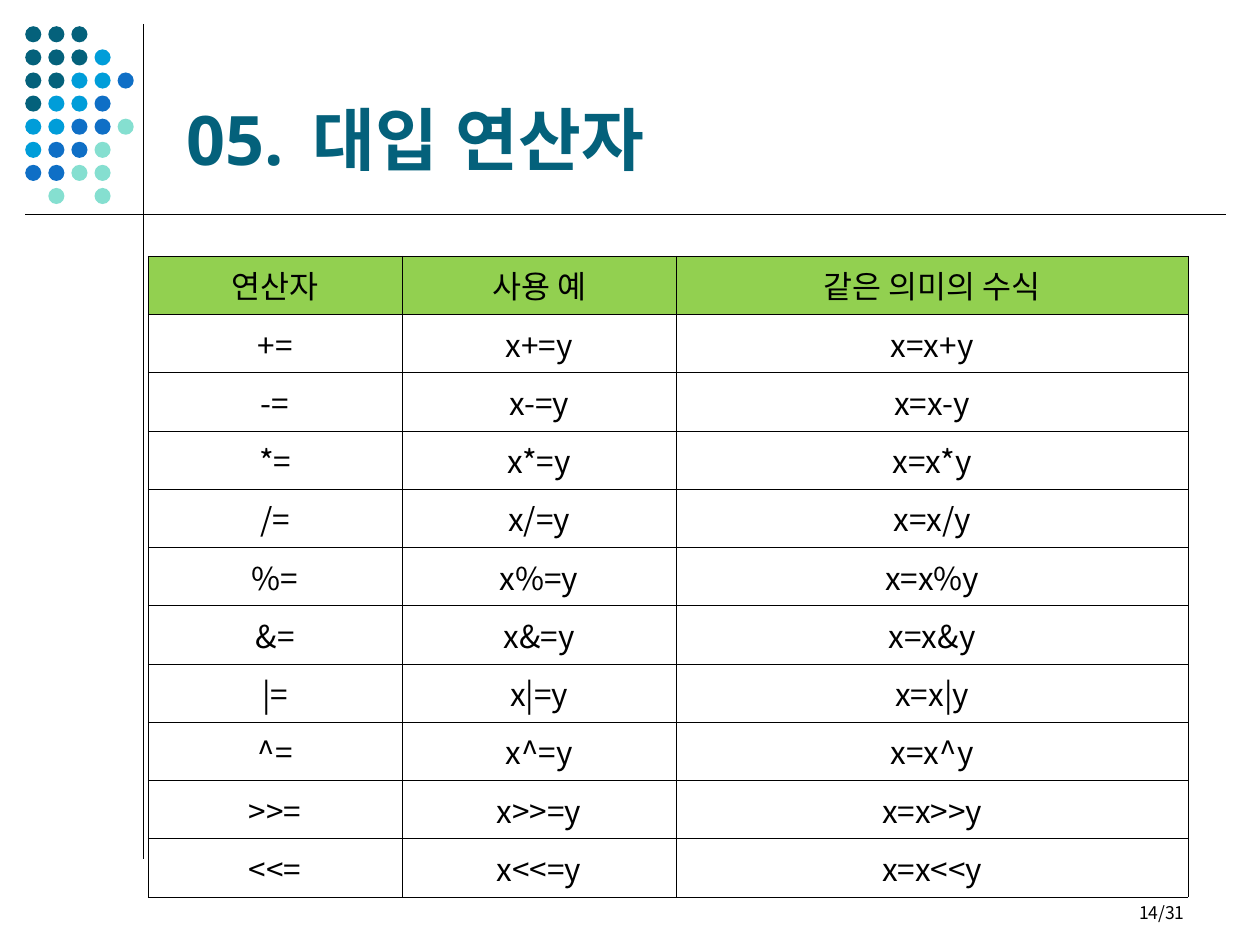
from lxml import etree
from pptx import Presentation
from pptx.dml.color import RGBColor
from pptx.enum import shapes, text
from pptx.oxml import ns
from pptx.util import Pt

TEAL = RGBColor(0x04, 0x61, 0x7B)
SKY = RGBColor(0x00, 0x9D, 0xD9)
BLUE = RGBColor(0x0F, 0x6F, 0xC6)
MINT = RGBColor(0x85, 0xDF, 0xD0)
GREEN = RGBColor(0x92, 0xD0, 0x50)
WHITE = RGBColor(255, 255, 255)
BLACK = RGBColor(0, 0, 0)

SANS, KOREAN = "Noto Sans", "Noto Sans CJK KR"

TITLE = "05.\t대입 연산자"
PAGE = "14/31"
HEADS = ["연산자", "사용 예", "같은 의미의 수식"]
SIGNS = ["+", "-", "*", "/", "%", "&", "|", "^", ">>", "<<"]
ROWS = [HEADS] + [[f"{s}=", f"x{s}=y", f"x=x{s}y"] for s in SIGNS]
WIDTHS = [145.2, 156.5, 292.8]
HIGH = 33.3

# One letter per dot, one string per row; a dot is left out at "."
DOTS = ["TTT..", "TTTS.", "TTSSB", "TSSB.", "SSBBM", "SBBM.", "BBMM.", ".M.M."]
TINTS = {"T": TEAL, "S": SKY, "B": BLUE, "M": MINT}
STEP, SIZE = 13.2, 9.2

RULES = [((82.1, 13.7), (82.1, 491)), ((14.4, 122.4), (700.6, 122.4))]


def add(parent, tag, **attrs):
    node = etree.SubElement(parent, ns.qn(tag))
    for key, val in attrs.items():
        node.set(key, str(val))
    return node


def write(frame, words, size, font=KOREAN, color=BLACK, bold=False,
          align=text.PP_ALIGN.LEFT, anchor=text.MSO_ANCHOR.TOP, tab=None):
    frame.word_wrap = True
    frame.vertical_anchor = anchor
    para = frame.paragraphs[0]
    para.alignment = align
    if tab:
        stops = add(para._p.get_or_add_pPr(), "a:tabLst")
        add(stops, "a:tab", pos=Pt(tab), algn="l")
    run = para.add_run()
    run.text = words
    run.font.size = Pt(size)
    run.font.name = font
    run.font.bold = bold
    run.font.color.rgb = color
    add(run._r.get_or_add_rPr(), "a:ea", typeface=font)


def edge(cell):
    props = cell._tc.get_or_add_tcPr()
    for spot, side in enumerate(("a:lnL", "a:lnR", "a:lnT", "a:lnB")):
        line = add(props, side, w=Pt(0.06))
        add(add(line, "a:solidFill"), "a:srgbClr", val=BLACK)
        props.insert(spot, line)  # borders come before the fill


deck = Presentation()
deck.slide_width, deck.slide_height = Pt(720), Pt(540)
slide = deck.slides.add_slide(deck.slide_layouts[6])
items = slide.shapes

# Crossing rules
for start, end in RULES:
    rule = items.add_connector(shapes.MSO_CONNECTOR.STRAIGHT,
                               *map(Pt, start + end))
    rule.line.color.rgb = BLACK
    rule.line.width = Pt(0.75)
    add(rule._element.spPr, "a:effectLst")

# Dot pattern
for row, marks in enumerate(DOTS):
    for col, mark in enumerate(marks):
        if mark in TINTS:
            dot = items.add_shape(shapes.MSO_SHAPE.OVAL,
                                  Pt(14.4 + col * STEP), Pt(15 + row * STEP),
                                  Pt(SIZE), Pt(SIZE))
            dot.shadow.inherit = False
            dot.fill.solid()
            dot.fill.fore_color.rgb = TINTS[mark]
            dot.line.fill.background()

# Title
box = items.add_textbox(Pt(99.4), Pt(15.1), Pt(594), Pt(90.7))
write(box.text_frame, TITLE, 39, font=SANS, color=TEAL, bold=True,
      anchor=text.MSO_ANCHOR.BOTTOM, tab=72)

# Operator table
table = items.add_table(len(ROWS), len(WIDTHS), Pt(84.6), Pt(146.3),
                        Pt(sum(WIDTHS)), Pt(HIGH * len(ROWS))).table
for col, width in zip(table.columns, WIDTHS):
    col.width = Pt(width)
for r, words in enumerate(ROWS):
    table.rows[r].height = Pt(HIGH)
    for c, word in enumerate(words):
        cell = table.cell(r, c)
        cell.fill.solid()
        cell.fill.fore_color.rgb = WHITE if r else GREEN
        cell.vertical_anchor = text.MSO_ANCHOR.MIDDLE
        edge(cell)
        write(cell.text_frame, word, 18, align=text.PP_ALIGN.CENTER,
              anchor=text.MSO_ANCHOR.MIDDLE)

# Page number
box = items.add_textbox(Pt(516.2), Pt(511.9), Pt(167.8), Pt(15.8))
write(box.text_frame, PAGE, 10, align=text.PP_ALIGN.RIGHT)

deck.save("out.pptx")
